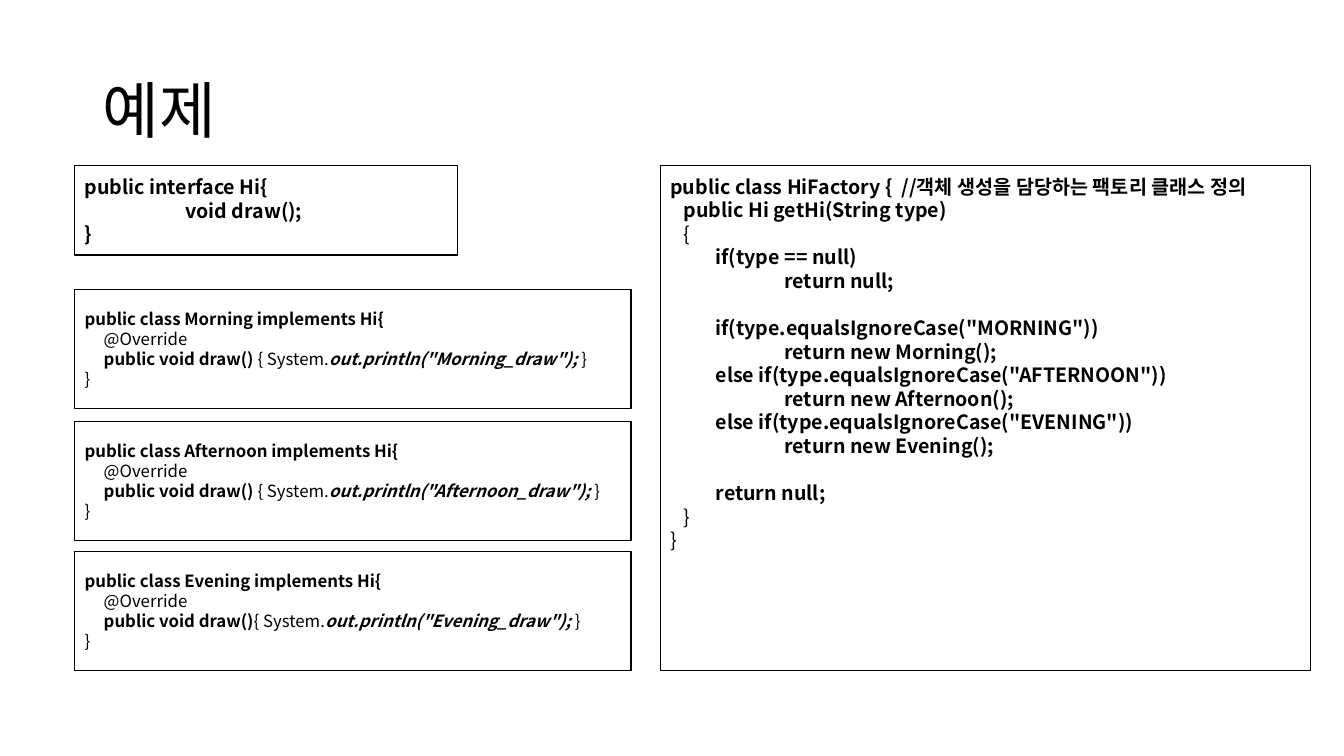
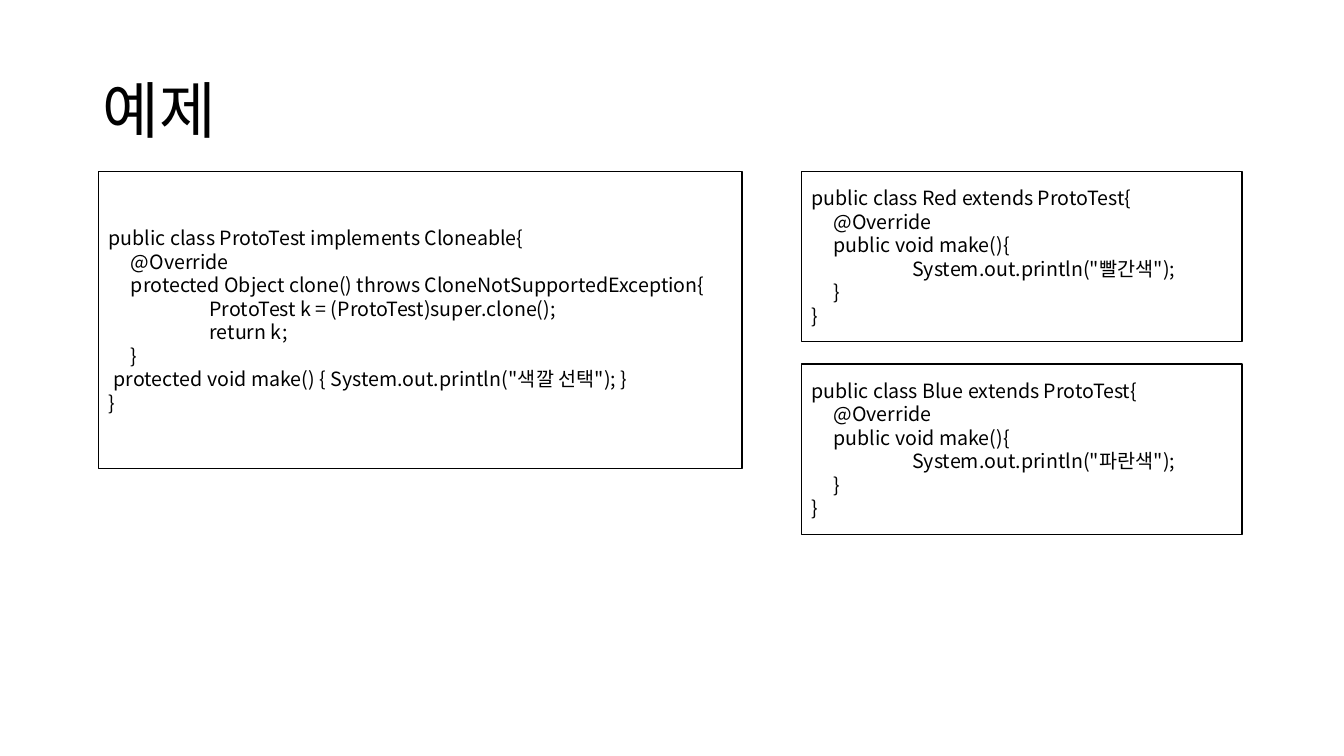
from dataclasses import dataclass

from lxml import etree
from pptx import Presentation
from pptx import util as u
from pptx.dml import color
from pptx.enum import shapes, text
from pptx.oxml import ns

FONT = "Noto Sans CJK KR"
INK = "000000"
PAPER = "FFFFFF"
TITLE_ONLY = 5
BLANK_LINE = 17  # points, one line of 14 pt code
TAB = 1.0
STEP = 0.22


@dataclass(frozen=True)
class Span:
    """A piece of a code line in one style."""
    content: str
    bold: bool = False
    italic: bool = False


@dataclass(frozen=True)
class Line:
    """A code line with its indent in inches and space above in points."""
    spans: tuple[Span, ...]
    indent: float = 0
    before: float = 0


@dataclass(frozen=True)
class CodeBox:
    """A framed code listing; lengths in inches."""
    left: float
    top: float
    width: float
    height: float
    lines: list[Line]
    size: int = 14
    from_top: bool = False


def rgb(value: str) -> color.RGBColor:
    """Turn a hex string into a colour."""
    return color.RGBColor.from_string(value)


def plain(content: str, indent: float = 0) -> Line:
    """Make a regular code line."""
    return Line((Span(content),), indent)


def strong(content: str, indent: float = 0, before: float = 0) -> Line:
    """Make a bold code line."""
    return Line((Span(content, bold=True),), indent, before)


def style_run(run, size: int, bold: bool = False, italic: bool = False) -> None:
    """Give a run the deck's font and colour, for Latin and Korean alike."""
    run.font.name = FONT
    run.font.size = u.Pt(size)
    run.font.bold = bold
    run.font.italic = italic
    run.font.color.rgb = rgb(INK)
    korean = etree.SubElement(run._r.get_or_add_rPr(), ns.qn("a:ea"))
    korean.set("typeface", FONT)


def place_title(layout) -> None:
    """Set the title area that all slides inherit."""
    title = layout.placeholders[0]
    title.left, title.top = u.Inches(0.92), u.Inches(0.4)
    title.width, title.height = u.Inches(11.5), u.Inches(1.45)
    title.text_frame.vertical_anchor = text.MSO_ANCHOR.MIDDLE


def draw_code(slide, box: CodeBox) -> None:
    """Draw a framed code listing."""
    frame = slide.shapes.add_shape(
        shapes.MSO_SHAPE.RECTANGLE, u.Inches(box.left), u.Inches(box.top),
        u.Inches(box.width), u.Inches(box.height))
    frame.shadow.inherit = False
    frame.fill.solid()
    frame.fill.fore_color.rgb = rgb(PAPER)
    frame.line.color.rgb = rgb(INK)
    frame.line.width = u.Pt(1)

    listing = frame.text_frame
    listing.word_wrap = True
    listing.vertical_anchor = text.MSO_ANCHOR.MIDDLE
    if box.from_top:
        listing.vertical_anchor = text.MSO_ANCHOR.TOP
        listing.margin_top = u.Inches(0.09)
    listing.text = "\n".join("" for _ in box.lines)
    for paragraph, line in zip(listing.paragraphs, box.lines):
        paragraph.alignment = text.PP_ALIGN.LEFT
        paragraph.space_before = u.Pt(line.before)
        properties = paragraph._p.get_or_add_pPr()
        properties.set("marL", str(u.Inches(line.indent)))
        properties.set("indent", "0")
        for span in line.spans:
            run = paragraph.add_run()
            run.text = span.content
            style_run(run, box.size, span.bold, span.italic)


def add_example(deck, boxes: list[CodeBox]) -> None:
    """Add an example slide with its code boxes."""
    slide = deck.slides.add_slide(deck.slide_layouts[TITLE_ONLY])
    slide.shapes.title.text_frame.text = "예제"
    heading = slide.shapes.title.text_frame.paragraphs[0]
    heading.alignment = text.PP_ALIGN.LEFT
    heading.line_spacing = 0.9
    style_run(heading.runs[0], 44)
    for box in boxes:
        draw_code(slide, box)


def greeting_box(name: str, top: float, gap: str = " ") -> CodeBox:
    """Describe a class that implements Hi."""
    draw_method = Line((
        Span(f"public void draw(){gap}", bold=True),
        Span("{ System."),
        Span(f'out.println("{name}_draw"); ', bold=True, italic=True),
        Span("}")), 0.19)
    return CodeBox(0.74, top, 5.52, 1.18, [
        strong(f"public class {name} implements Hi{{"),
        plain("@Override", 0.19),
        draw_method,
        plain("}"),
    ], size=12)


def colour_box(name: str, label: str, top: float) -> CodeBox:
    """Describe a class that extends ProtoTest."""
    return CodeBox(7.95, top, 4.37, 1.69, [
        plain(f"public class {name} extends ProtoTest{{"),
        plain("@Override", STEP),
        plain("public void make(){", STEP),
        plain(f'System.out.println("{label}");', TAB),
        plain("}", STEP),
        plain("}"),
    ])


def factory_box() -> CodeBox:
    """Describe the factory class."""
    method, branch, result = 0.13, 0.45, 1.13
    lines = [
        strong("public class HiFactory {  //객체 생성을 담당하는 팩토리 클래스 정의"),
        strong("public Hi getHi(String type)", method),
        plain("{", method),
        strong("if(type == null)", branch),
        strong("return null;", result),
    ]
    for position, name in enumerate(("Morning", "Afternoon", "Evening")):
        keyword = "else if" if position else "if"
        lines += [
            strong(f'{keyword}(type.equalsIgnoreCase("{name.upper()}"))', branch,
                   0 if position else BLANK_LINE),
            strong(f"return new {name}();", result),
        ]
    lines += [strong("return null;", branch, BLANK_LINE),
              plain("}", method), plain("}")]
    return CodeBox(6.55, 1.64, 6.45, 5.01, lines, from_top=True)


def main() -> None:
    """Build and save the deck."""
    deck = Presentation()
    deck.slide_width, deck.slide_height = u.Inches(13.33), u.Inches(7.5)
    place_title(deck.slide_layouts[TITLE_ONLY])

    interface = CodeBox(0.74, 1.64, 3.8, 0.89, [
        strong("public interface Hi{"), strong("void draw();", TAB), strong("}")])
    add_example(deck, [
        interface,
        greeting_box("Morning", 2.87),
        greeting_box("Afternoon", 4.18),
        greeting_box("Evening", 5.47, gap=""),
        factory_box(),
    ])

    prototype = CodeBox(0.98, 1.7, 6.38, 2.95, [
        plain("public class ProtoTest implements Cloneable{"),
        plain("@Override", STEP),
        plain("protected Object clone() throws CloneNotSupportedException{", STEP),
        plain("ProtoTest k = (ProtoTest)super.clone();", TAB),
        plain("return k;", TAB),
        plain("}", STEP),
        plain('protected void make() { System.out.println("색깔 선택"); }', 0.05),
        plain("}"),
    ])
    add_example(deck, [
        colour_box("Red", "빨간색", 1.7),
        colour_box("Blue", "파란색", 3.61),
        prototype,
    ])
    deck.save("out.pptx")


main()
